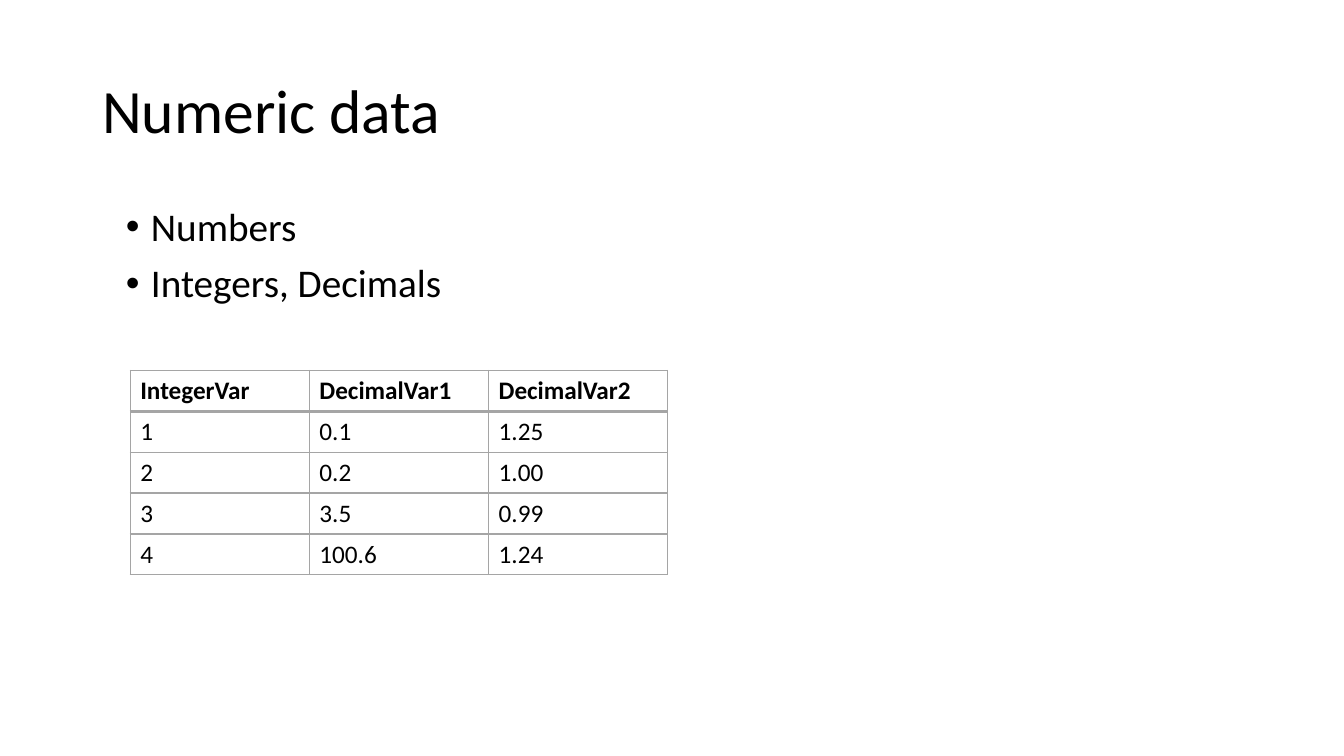
from dataclasses import dataclass
from lxml.etree import SubElement
from pptx import Presentation
from pptx.dml.color import RGBColor
from pptx.enum.text import MSO_ANCHOR
from pptx.oxml.ns import qn
from pptx.util import Inches, Pt


@dataclass(frozen=True)
class Theme:
    font: str = "Calibri"
    ink: str = "000000"
    rule: str = "A5A5A5"
    title: int = 44
    body: int = 28
    cell: int = 18
    thin: int = 1
    thick: int = 2


class Deck:
    COLS, ROWS = 160, 90  # square grid, twelve units to the inch

    def __init__(self, theme):
        self.theme = theme
        self.file = Presentation()
        self.unit = Inches(1) / 12
        self.file.slide_width = self.size(self.COLS)
        self.file.slide_height = self.size(self.ROWS)
        self.slide = self.file.slides.add_slide(self.file.slide_layouts[6])

    def size(self, units):
        return round(units * self.unit)

    def label(self, para, text, size, bold=False, **form):
        run = para.add_run()
        run.text = text
        style = {"name": self.theme.font, "size": Pt(size), "bold": bold}
        for target, values in ((run.font, style), (para, form)):
            for key, value in values.items():
                setattr(target, key, value)
        run.font.color.rgb = RGBColor.from_string(self.theme.ink)

    def text(self, box, lines, size, anchor=MSO_ANCHOR.TOP, bullet=None, **form):
        frame = self.slide.shapes.add_textbox(*map(self.size, box)).text_frame
        for key, value in {"word_wrap": True, "vertical_anchor": anchor}.items():
            setattr(frame, key, value)
        for row, line in enumerate(lines):
            para = frame.add_paragraph() if row else frame.paragraphs[0]
            self.label(para, line, size, line_spacing=0.9, **form)
            if bullet:
                self.mark(para, bullet)

    def mark(self, para, sign):
        props = para._p.get_or_add_pPr()
        props.set("marL", str(self.size(3)))
        props.set("indent", str(-self.size(3)))
        SubElement(props, qn("a:buFont"), typeface="Arial")
        SubElement(props, qn("a:buChar"), char=sign)

    def edge(self, cell, side, width):
        line = SubElement(cell._tc.get_or_add_tcPr(), qn("a:ln" + side), w=str(Pt(width)))
        fill = SubElement(line, qn("a:solidFill"))
        SubElement(fill, qn("a:srgbClr"), val=self.theme.rule)

    def table(self, box, data):
        look = self.theme
        grid = self.slide.shapes.add_table(
            len(data), len(data[0]), *map(self.size, box)).table
        for key in ("first_row", "horz_banding"):
            setattr(grid, key, False)
        for row, line in enumerate(data):
            for col, text in enumerate(line):
                cell = grid.cell(row, col)
                self.label(cell.text_frame.paragraphs[0], text, look.cell, bold=row == 0)
                # The rule under the header is heavier
                widths = dict.fromkeys("LRTB", look.thin)
                if row < 2:
                    widths["T" if row else "B"] = look.thick
                for side, width in widths.items():
                    self.edge(cell, side, width)
                cell.fill.background()


theme = Theme()
deck = Deck(theme)

# Title
deck.text((11, 4.8, 138, 17.4), ["Numeric data"], theme.title, MSO_ANCHOR.MIDDLE)

# Bullets
deck.text((13.8, 24.1, 138, 57.1), ["Numbers", "Integers, Decimals"],
          theme.body, bullet="\u2022", space_before=Pt(10))

# Sample values
deck.table((15.5, 44.1, 64, 24.35), [
    ("IntegerVar", "DecimalVar1", "DecimalVar2"),
    ("1", "0.1", "1.25"),
    ("2", "0.2", "1.00"),
    ("3", "3.5", "0.99"),
    ("4", "100.6", "1.24"),
])

deck.file.save("out.pptx")
